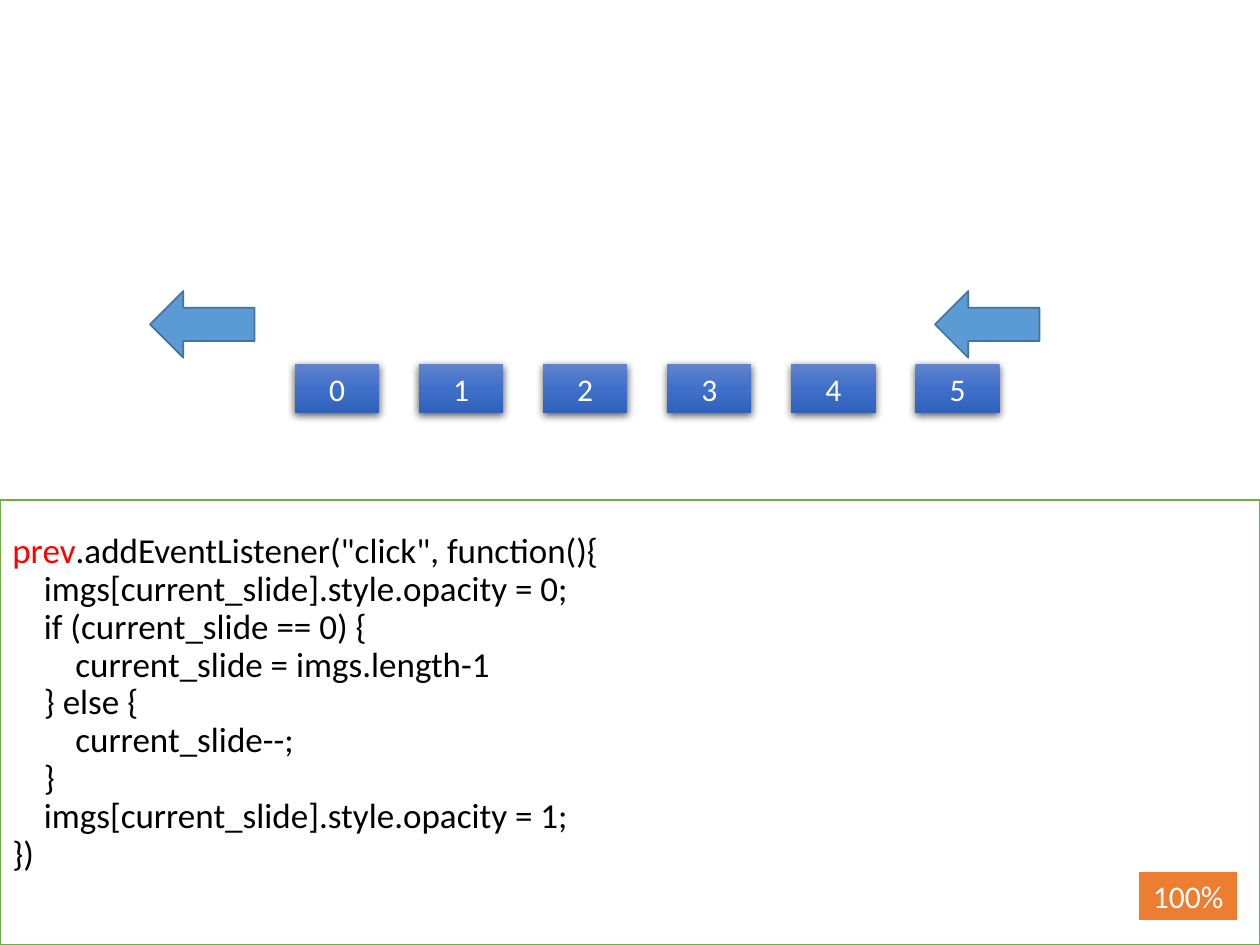
import copy

import pptx
import pptx.dml.color
import pptx.enum.shapes
import pptx.enum.text
import pptx.oxml.ns
import pptx.util
from lxml import etree

RGB = pptx.dml.color.RGBColor
WHITE = RGB(0xFF, 0xFF, 0xFF)
BLACK = RGB(0, 0, 0)
RED = RGB(0xFF, 0, 0)
GREEN = RGB(0x70, 0xAD, 0x47)
ORANGE = RGB(0xED, 0x7D, 0x31)
ARROW_BLUE = RGB(0x5B, 0x9B, 0xD5)
ARROW_EDGE = RGB(0x43, 0x73, 0x9E)
BOX_GRADIENT = [(0, RGB(0x61, 0x83, 0xCB)), (0.5, RGB(0x3E, 0x70, 0xCA)), (1, RGB(0x30, 0x62, 0xBB))]

CODE = [
    (0, [("prev", RED), ('.addEventListener("click", function(){', BLACK)]),
    (1, [("imgs[current_slide].style.opacity = 0;", BLACK)]),
    (1, [("if (current_slide == 0) {", BLACK)]),
    (2, [("current_slide = imgs.length-1", BLACK)]),
    (1, [("} else {", BLACK)]),
    (2, [("current_slide--;", BLACK)]),
    (1, [("}", BLACK)]),
    (1, [("imgs[current_slide].style.opacity = 1;", BLACK)]),
    (0, [("})", BLACK)]),
]
INDEXES = ["0", "1", "2", "3", "4", "5"]
ZOOM = "100%"
ARROW_LEFTS = [1.19, 7.42]

SLIDE_W, SLIDE_H = 10, 7.5
CODE_TOP = 3.97
CODE_INDENT = 0.25
CODE_LINE = 0.3
BOX_LEFT, BOX_TOP, BOX_W, BOX_H = 2.34, 2.89, 0.67, 0.39
BOX_PITCH = 0.985

SHAPES = pptx.enum.shapes.MSO_SHAPE
MIDDLE = pptx.enum.text.MSO_ANCHOR.MIDDLE
ALIGN = pptx.enum.text.PP_ALIGN
qn = pptx.oxml.ns.qn


def add_block(slide, kind, left, top, width, height, fill=None, edge=None, edge_width=1):
    block = slide.shapes.add_shape(kind, *map(pptx.util.Inches, (left, top, width, height)))
    block.shadow.inherit = False
    if fill is not None:
        block.fill.solid()
        block.fill.fore_color.rgb = fill
    if edge is None:
        block.line.fill.background()
    else:
        block.line.color.rgb = edge
        block.line.width = pptx.util.Pt(edge_width)
    return block


def style_run(run, size, color):
    run.font.name = "Calibri"
    run.font.size = pptx.util.Pt(size)
    run.font.color.rgb = color


def add_label(block, label):
    frame = block.text_frame
    frame.text = label
    frame.word_wrap = False
    frame.vertical_anchor = MIDDLE
    frame.paragraphs[0].alignment = ALIGN.CENTER
    style_run(frame.paragraphs[0].runs[0], 18, WHITE)


def add_gradient(block):
    block.fill.gradient()
    block.fill.gradient_angle = 270
    stop_list = block._element.spPr.find(".//" + qn("a:gsLst"))
    stop_list.insert(1, copy.deepcopy(stop_list[0]))
    for stop, (position, color) in zip(block.fill.gradient_stops, BOX_GRADIENT):
        stop.position = position
        stop.color.rgb = color


def add_shadow(block):
    effects = block._element.spPr.find(qn("a:effectLst"))
    shadow = etree.SubElement(effects, qn("a:outerShdw"), blurRad=str(pptx.util.Pt(4.5)),
                              dist=str(pptx.util.Pt(1.5)), dir="5400000", rotWithShape="0")
    color = etree.SubElement(shadow, qn("a:srgbClr"), val=str(BLACK))
    etree.SubElement(color, qn("a:alpha"), val="63000")


def add_code(slide):
    panel = add_block(slide, SHAPES.RECTANGLE, 0, CODE_TOP, SLIDE_W, SLIDE_H - CODE_TOP, WHITE, GREEN)
    fill_color = panel._element.spPr.find(qn("a:solidFill"))[0]
    etree.SubElement(fill_color, qn("a:alpha"), val="20000")
    frame = panel.text_frame
    frame.word_wrap = True
    frame.vertical_anchor = MIDDLE
    frame.margin_bottom = pptx.util.Inches(0.05 + CODE_LINE)
    for number, (level, pieces) in enumerate(CODE):
        line = frame.add_paragraph() if number else frame.paragraphs[0]
        line.alignment = ALIGN.LEFT
        line.line_spacing = 0.9
        line._p.get_or_add_pPr().set("marL", str(pptx.util.Inches(level * CODE_INDENT)))
        for words, color in pieces:
            run = line.add_run()
            run.text = words
            style_run(run, 20, color)


def main():
    deck = pptx.Presentation()
    deck.slide_width = pptx.util.Inches(SLIDE_W)
    deck.slide_height = pptx.util.Inches(SLIDE_H)
    slide = deck.slides.add_slide(deck.slide_layouts[6])

    add_code(slide)
    add_label(add_block(slide, SHAPES.RECTANGLE, 9.03, 6.91, 0.8, 0.4, ORANGE, WHITE, 1.5), ZOOM)
    for column, index in enumerate(INDEXES):
        box = add_block(slide, SHAPES.RECTANGLE, BOX_LEFT + column * BOX_PITCH, BOX_TOP, BOX_W, BOX_H)
        add_gradient(box)
        add_shadow(box)
        add_label(box, index)
    for left in ARROW_LEFTS:
        add_block(slide, SHAPES.LEFT_ARROW, left, 2.31, 0.83, 0.53, ARROW_BLUE, ARROW_EDGE)

    deck.save("out.pptx")


if __name__ == "__main__":
    main()
